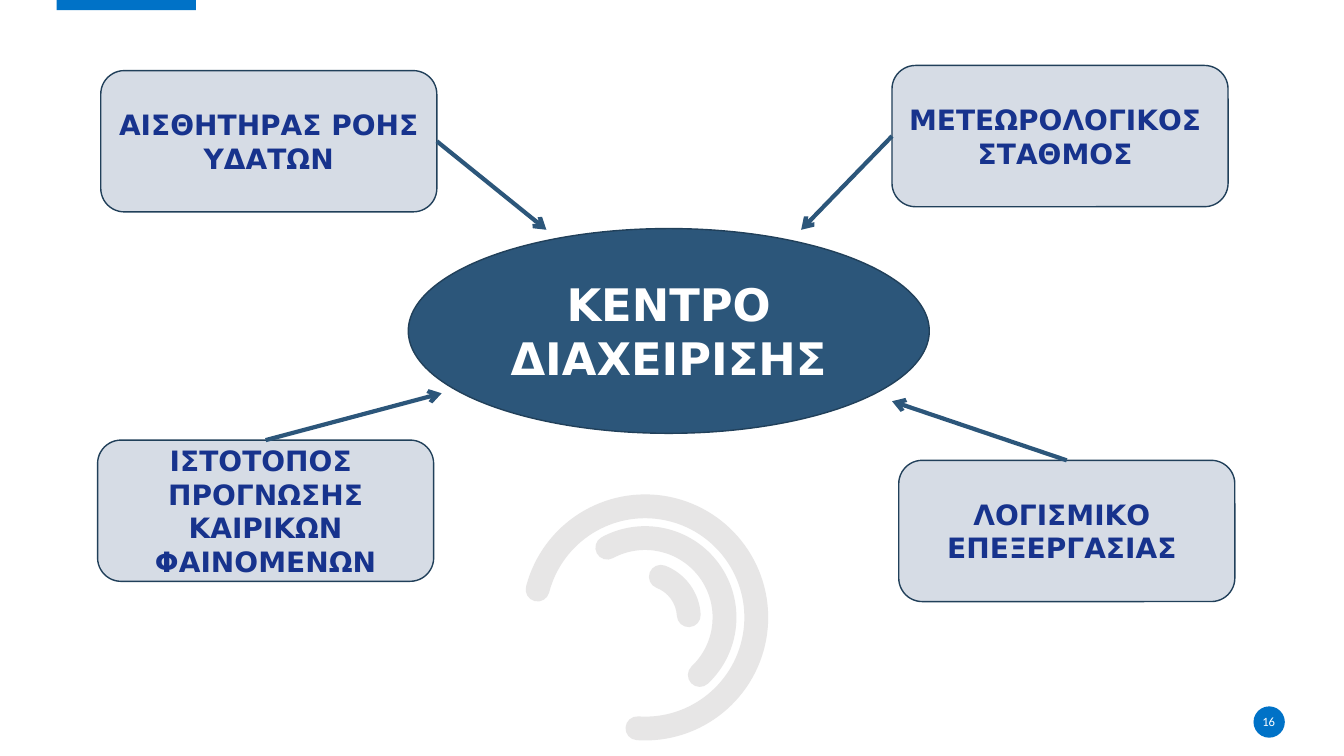
from math import ceil, cos, radians, sin, tan

from lxml.etree import SubElement
from pptx import Presentation
from pptx.dml.color import RGBColor
from pptx.enum.shapes import MSO_CONNECTOR as Connector, MSO_SHAPE as Shape
from pptx.enum.text import MSO_ANCHOR as Anchor, PP_ALIGN as Align
from pptx.oxml.ns import qn
from pptx.util import Cm, Pt

COLORS = {
    "accent": "0072C7",
    "center": "2C567A",
    "outline": "21405A",
    "box": "D6DCE5",
    "box_text": "17338D",
    "ring": "E7E6E6",
    "white": "FFFFFF",
}
TOP, LEFT, RIGHT = 0, 1, 3  # connection sites of a rounded rectangle
BOX_SIZE = (8.47, 3.56)

# label, left, top, site where the arrow starts, arrow tip
SOURCES = [
    ("ΜΕΤΕΩΡΟΛΟΓΙΚΟΣ \nΣΤΑΘΜΟΣ ", 22.48, 1.65, LEFT, (20.19, 5.79)),
    ("ΛΟΓΙΣΜΙΚΟ \nΕΠΕΞΕΡΓΑΣΙΑΣ ", 22.65, 11.6, TOP, (22.48, 10.11)),
    ("ΙΣΤΟTΟΠΟΣ  ΠΡΟΓΝΩΣΗΣ ΚΑΙΡΙΚΩΝ ΦΑΙΝΟΜΕΝΩΝ", 2.46, 11.09, TOP, (11.13, 9.91)),
    ("ΑΙΣΘΗΤΗΡΑΣ ΡΟΗΣ \nΥΔΑΤΩΝ", 2.54, 1.78, RIGHT, (13.77, 5.79)),
]

RING_CENTER = (16.26, 15.56)
RING_WIDTH = 0.6
# middle radius, start and end angle, clockwise from the right
RINGS = [(2.8, 194.5, 454), (2.0, 241.5, 406.5), (1.1, 291, 357)]


def on_circle(center, radius, angle):
    return center[0] + radius * cos(angle), center[1] + radius * sin(angle)


def arc(center, radius, start, end):
    """Bezier points (two controls and an end per curve) of an arc in degrees."""
    curves = max(2, ceil(abs(end - start) / 90))
    step = radians(end - start) / curves
    pull = 4 / 3 * tan(step / 4) * radius
    points = []
    for i in range(curves):
        a = radians(start) + i * step
        b = a + step
        x0, y0 = on_circle(center, radius, a)
        x1, y1 = on_circle(center, radius, b)
        points += [
            (x0 - pull * sin(a), y0 + pull * cos(a)),
            (x1 + pull * sin(b), y1 - pull * cos(b)),
            (x1, y1),
        ]
    return points


class SlideBuilder:
    def __init__(self, slide, font="DejaVu Sans"):
        self.shapes = slide.shapes
        self.font = font

    def color(self, name):
        return RGBColor.from_string(COLORS[name])

    def paint(self, shape, fill, outline=None):
        shape.shadow.inherit = False
        shape.fill.solid()
        shape.fill.fore_color.rgb = self.color(fill)
        if outline:
            shape.line.color.rgb = self.color(outline)
            shape.line.width = Pt(1)
        else:
            shape.line.fill.background()

    def figure(self, kind, left, top, width, height, fill, outline=None):
        figure = self.shapes.add_shape(kind, Cm(left), Cm(top), Cm(width), Cm(height))
        self.paint(figure, fill, outline)
        return figure

    def label(self, shape, text, size, color, bold=True, font=None):
        frame = shape.text_frame
        frame.text = text
        frame.word_wrap = True
        frame.vertical_anchor = Anchor.MIDDLE
        for paragraph in frame.paragraphs:
            paragraph.alignment = Align.CENTER
            for run in paragraph.runs:
                run.font.name = font or self.font
                run.font.size = Pt(size)
                run.font.bold = bold
                run.font.color.rgb = self.color(color)

    def page_number(self, number, left, top, width, height):
        box = self.shapes.add_textbox(Cm(left), Cm(top), Cm(width), Cm(height))
        self.label(box, number, 9, "white", bold=False, font="Calibri")
        frame = box.text_frame
        frame.margin_left = frame.margin_right = 0
        frame.margin_top = frame.margin_bottom = 0

    def ring(self, radius, start, end):
        """Open ring with rounded ends."""
        half = RING_WIDTH / 2
        head = on_circle(RING_CENTER, radius, radians(end))
        tail = on_circle(RING_CENTER, radius, radians(start))
        outline = (
            arc(RING_CENTER, radius + half, start, end)
            + arc(head, half, end, end + 180)
            + arc(RING_CENTER, radius - half, end, start)
            + arc(tail, half, start + 180, start + 360)
        )
        points = [(Cm(x), Cm(y)) for x, y in outline]
        builder = self.shapes.build_freeform(*points[-1])
        builder.add_line_segments(points, close=False)
        ring = builder.convert_to_shape()
        self.curve(ring)
        self.paint(ring, "ring")

    def curve(self, freeform):
        """Turn each three line segments into one Bezier curve and close."""
        outline = next(freeform._element.iter(qn("a:path")))
        lines = outline.findall(qn("a:lnTo"))
        for i in range(0, len(lines), 3):
            bezier = SubElement(outline, qn("a:cubicBezTo"))
            for line in lines[i:i + 3]:
                bezier.append(line[0])
                outline.remove(line)
        SubElement(outline, qn("a:close"))

    def arrow(self, box, site, tip):
        arrow = self.shapes.add_connector(
            Connector.STRAIGHT, box.left, box.top, Cm(tip[0]), Cm(tip[1])
        )
        arrow.begin_connect(box, site)
        arrow.line.color.rgb = self.color("center")
        arrow.line.width = Pt(3)
        SubElement(arrow.line._get_or_add_ln(), qn("a:tailEnd"), type="arrow")
        SubElement(arrow._element.spPr, qn("a:effectLst"))


def main():
    deck = Presentation()
    deck.slide_width, deck.slide_height = Cm(33.87), Cm(19.05)
    builder = SlideBuilder(deck.slides.add_slide(deck.slide_layouts[6]))

    builder.figure(Shape.RECTANGLE, 1.43, 0, 3.51, 0.26, "accent")
    for ring in RINGS:
        builder.ring(*ring)

    builder.figure(Shape.OVAL, 31.59, 17.8, 0.79, 0.79, "accent")
    builder.page_number("16", 31.57, 17.93, 0.81, 0.51)

    control_center = builder.figure(
        Shape.OVAL, 10.29, 5.76, 13.13, 5.16, "center", "outline"
    )
    builder.label(control_center, "ΚΕΝΤΡΟ ΔΙΑΧΕΙΡΙΣΗΣ", 32, "white")

    boxes = []
    for text, left, top, _, _ in SOURCES:
        box = builder.figure(
            Shape.ROUNDED_RECTANGLE, left, top, *BOX_SIZE, "box", "outline"
        )
        builder.label(box, text, 20, "box_text")
        boxes.append(box)
    for box, (_, _, _, site, tip) in zip(boxes, SOURCES):
        builder.arrow(box, site, tip)

    deck.save("out.pptx")


if __name__ == "__main__":
    main()
